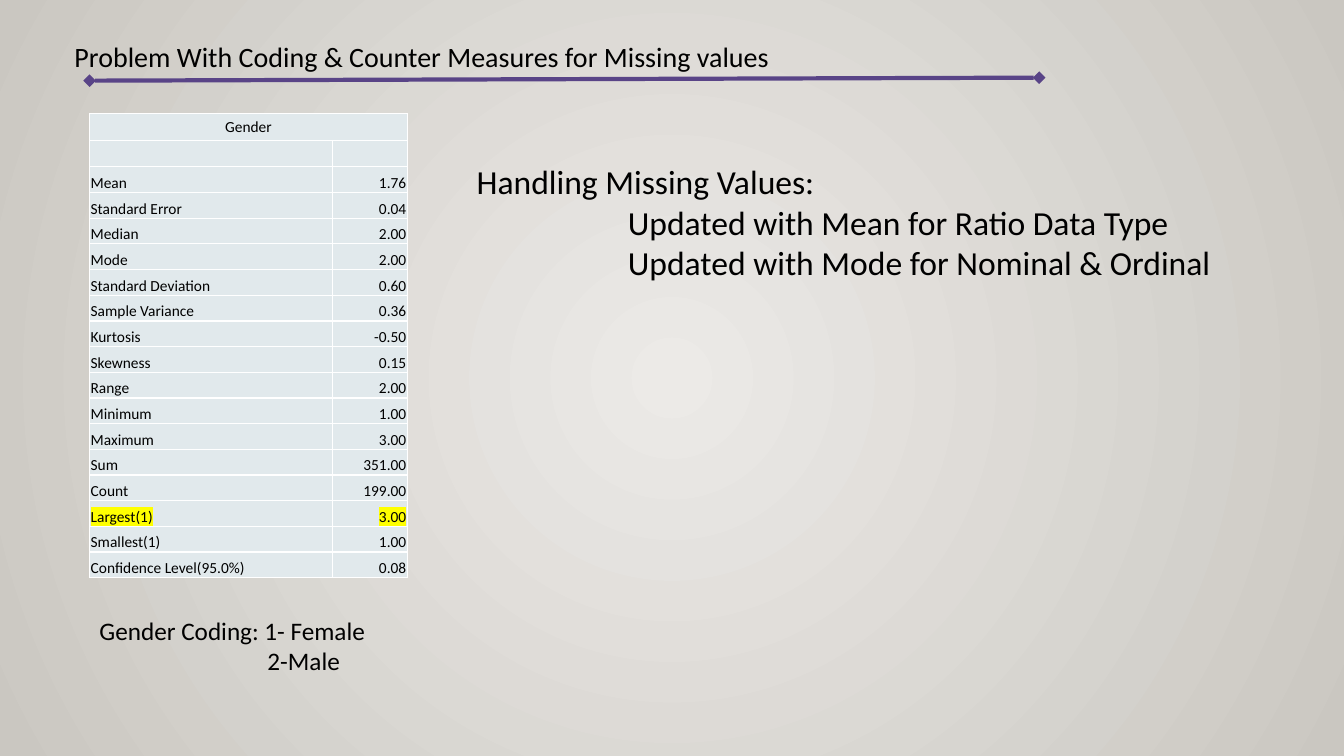
import dataclasses

import lxml.etree
import pptx
import pptx.dml.color
import pptx.enum.shapes
import pptx.enum.text
import pptx.oxml.ns
import pptx.util

Pt = pptx.util.Pt
qn = pptx.oxml.ns.qn
ALIGN = pptx.enum.text.PP_ALIGN
ANCHOR = pptx.enum.text.MSO_ANCHOR

FONT = "Calibri"
COLOURS = {
    "text": "000000",
    "centre": "ECEAE7",
    "edge": "CAC7C1",
    "rule": "594487",
    "cell": "E1E9EC",
    "border": "FFFFFF",
    "highlight": "FFFF00",
}


@dataclasses.dataclass
class Statistic:
    label: str
    value: str
    highlight: bool = False


@dataclasses.dataclass
class Note:
    box: tuple[float, float, float, float]
    size: float
    indent: float
    heading: str
    details: list[str]


STATISTICS = [
    Statistic("Mean", "1.76"),
    Statistic("Standard Error", "0.04"),
    Statistic("Median", "2.00"),
    Statistic("Mode", "2.00"),
    Statistic("Standard Deviation", "0.60"),
    Statistic("Sample Variance", "0.36"),
    Statistic("Kurtosis", "-0.50"),
    Statistic("Skewness", "0.15"),
    Statistic("Range", "2.00"),
    Statistic("Minimum", "1.00"),
    Statistic("Maximum", "3.00"),
    Statistic("Sum", "351.00"),
    Statistic("Count", "199.00"),
    Statistic("Largest(1)", "3.00", highlight=True),
    Statistic("Smallest(1)", "1.00"),
    Statistic("Confidence Level(95.0%)", "0.08"),
]

NOTES = [
    Note((64, 435.6, 227, 51), 18, 120, "Gender Coding: 1- Female", ["2-Male"]),
    Note((333.4, 111.6, 562, 94.5), 24, 108, "Handling Missing Values:",
         ["Updated with Mean for Ratio Data Type",
          "Updated with Mode for Nominal & Ordinal"]),
]


def rgb(name: str) -> pptx.dml.color.RGBColor:
    return pptx.dml.color.RGBColor.from_string(COLOURS[name])


def add_colour(parent, name: str) -> None:
    lxml.etree.SubElement(parent, qn("a:srgbClr"), val=COLOURS[name])


def write(paragraph, text: str, *, size: float, align=ALIGN.LEFT,
          indent: float = 0, highlight: bool = False) -> None:
    paragraph.alignment = align
    if indent:
        paragraph._p.get_or_add_pPr().set("marL", str(Pt(indent)))
    if not text:
        lxml.etree.SubElement(paragraph._p, qn("a:endParaRPr"), sz=str(size * 100))
        return
    run = paragraph.add_run()
    run.text = text
    run.font.size = Pt(size)
    run.font.name = FONT
    run.font.color.rgb = rgb("text")
    if highlight:
        mark = lxml.etree.Element(qn("a:highlight"))
        add_colour(mark, "highlight")
        run._r.rPr.find(qn("a:latin")).addprevious(mark)


def paint_background(slide) -> None:
    fill = slide.background.fill
    fill.gradient()
    for stop, position, name in zip(fill.gradient_stops, (0, 1), ("centre", "edge")):
        stop.position = position
        stop.color.rgb = rgb(name)
    linear = next(slide._element.iter(qn("a:lin")))
    circle = lxml.etree.Element(qn("a:path"), path="circle")
    lxml.etree.SubElement(circle, qn("a:fillToRect"),
                          {side: "50000" for side in "ltrb"})
    linear.getparent().replace(linear, circle)


def add_title(slide) -> None:
    title = slide.shapes.title
    title.left, title.top, title.width, title.height = map(Pt, (46, 24.5, 695.5, 31.5))
    frame = title.text_frame
    frame.word_wrap = True
    frame.auto_size = pptx.enum.text.MSO_AUTO_SIZE.NONE
    frame.vertical_anchor = ANCHOR.TOP
    write(frame.paragraphs[0],
          "Problem With Coding & Counter Measures for Missing values", size=20)


def add_rule(slide) -> None:
    rule = slide.shapes.add_connector(
        pptx.enum.shapes.MSO_CONNECTOR.STRAIGHT, Pt(64), Pt(57.6), Pt(742.3), Pt(55.5))
    rule.line.color.rgb = rgb("rule")
    rule.line.width = Pt(3)
    for end in ("a:headEnd", "a:tailEnd"):
        lxml.etree.SubElement(rule.line._ln, qn(end), type="diamond")
    lxml.etree.SubElement(rule._element.spPr, qn("a:effectLst"))


def format_cell(cell, anchor) -> None:
    cell.margin_left = cell.margin_right = cell.margin_top = Pt(0.75)
    cell.margin_bottom = Pt(0)
    cell.vertical_anchor = anchor
    cell.fill.solid()
    cell.fill.fore_color.rgb = rgb("cell")
    properties = cell._tc.get_or_add_tcPr()
    for index, side in enumerate(("a:lnL", "a:lnR", "a:lnT", "a:lnB")):
        border = lxml.etree.Element(qn(side), w=str(Pt(1)))
        add_colour(lxml.etree.SubElement(border, qn("a:solidFill")), "border")
        properties.insert(index, border)


def add_statistics(slide) -> None:
    rows = [Statistic("Gender", ""), Statistic("", ""), *STATISTICS]
    table = slide.shapes.add_table(
        len(rows), 2, Pt(64), Pt(81.2), Pt(227), Pt(332)).table
    table.first_row = table.horz_banding = False
    table.columns[0].width, table.columns[1].width = Pt(173.75), Pt(53.25)
    for index, statistic in enumerate(rows):
        is_header = index == 0
        table.rows[index].height = Pt(19 if index < 2 else 18.35)
        texts = ((statistic.label, ALIGN.CENTER if is_header else ALIGN.LEFT),
                 (statistic.value, ALIGN.RIGHT))
        for column, (text, align) in enumerate(texts):
            cell = table.cell(index, column)
            format_cell(cell, ANCHOR.MIDDLE if is_header else ANCHOR.BOTTOM)
            write(cell.text_frame.paragraphs[0], text, size=11, align=align,
                  highlight=statistic.highlight)
    table.cell(0, 0).merge(table.cell(0, 1))


def add_note(slide, note: Note) -> None:
    frame = slide.shapes.add_textbox(*map(Pt, note.box)).text_frame
    frame.word_wrap = True
    write(frame.paragraphs[0], note.heading, size=note.size)
    for detail in note.details:
        write(frame.add_paragraph(), detail, size=note.size, indent=note.indent)


def main() -> None:
    presentation = pptx.Presentation()
    presentation.slide_width, presentation.slide_height = Pt(960), Pt(540)
    slide = presentation.slides.add_slide(presentation.slide_layouts[5])
    paint_background(slide)
    add_title(slide)
    add_rule(slide)
    add_statistics(slide)
    for note in NOTES:
        add_note(slide, note)
    presentation.save("out.pptx")


if __name__ == "__main__":
    main()
